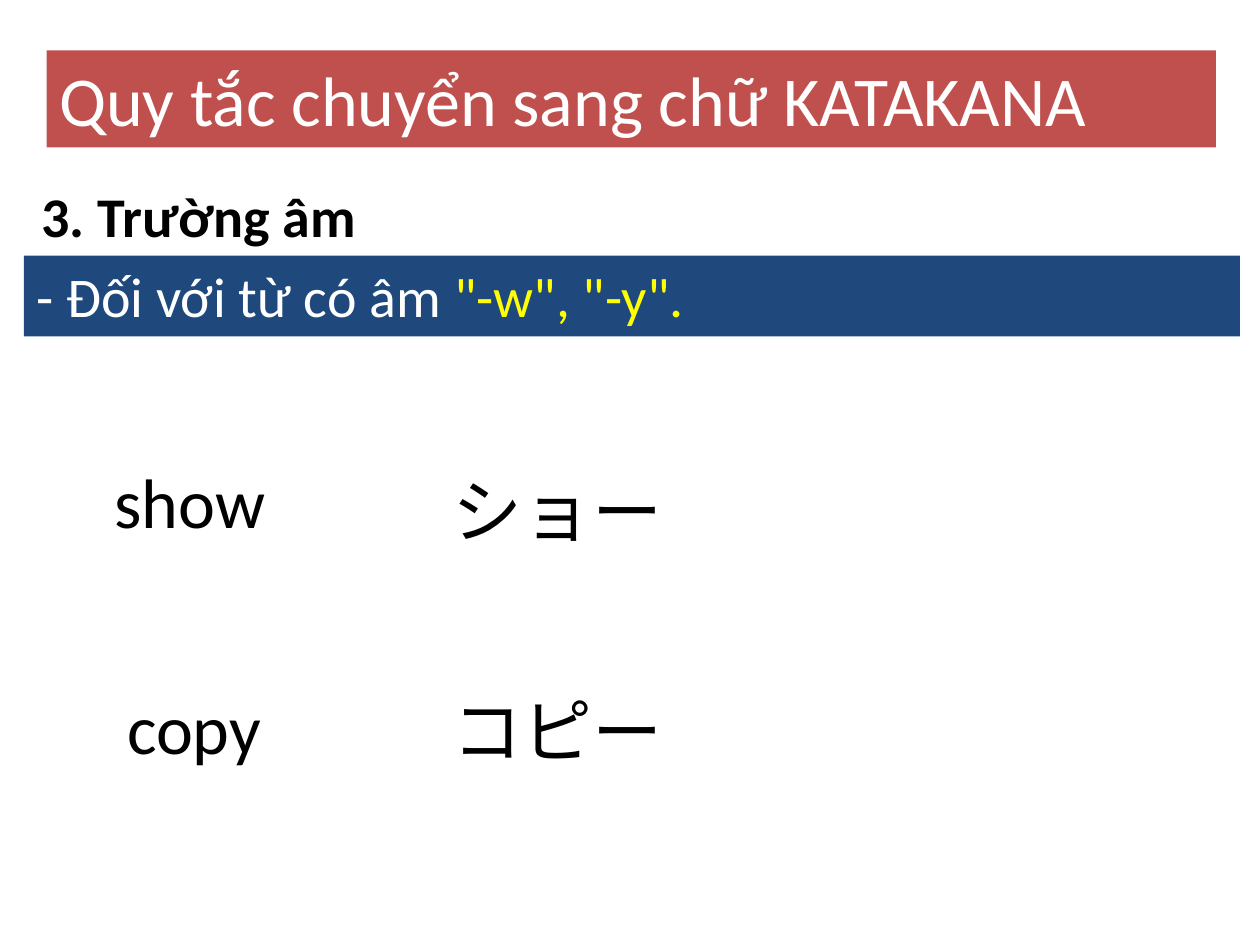
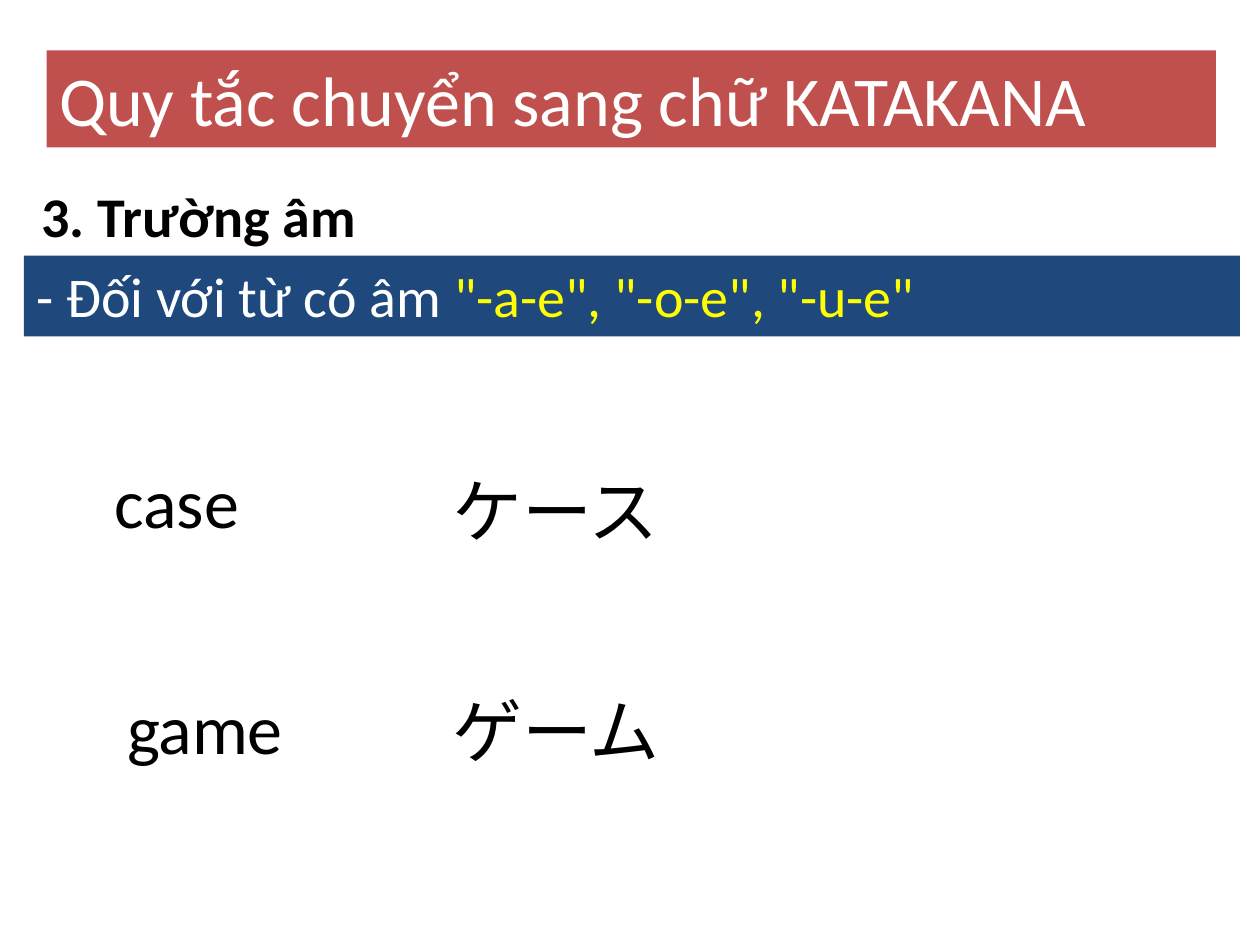
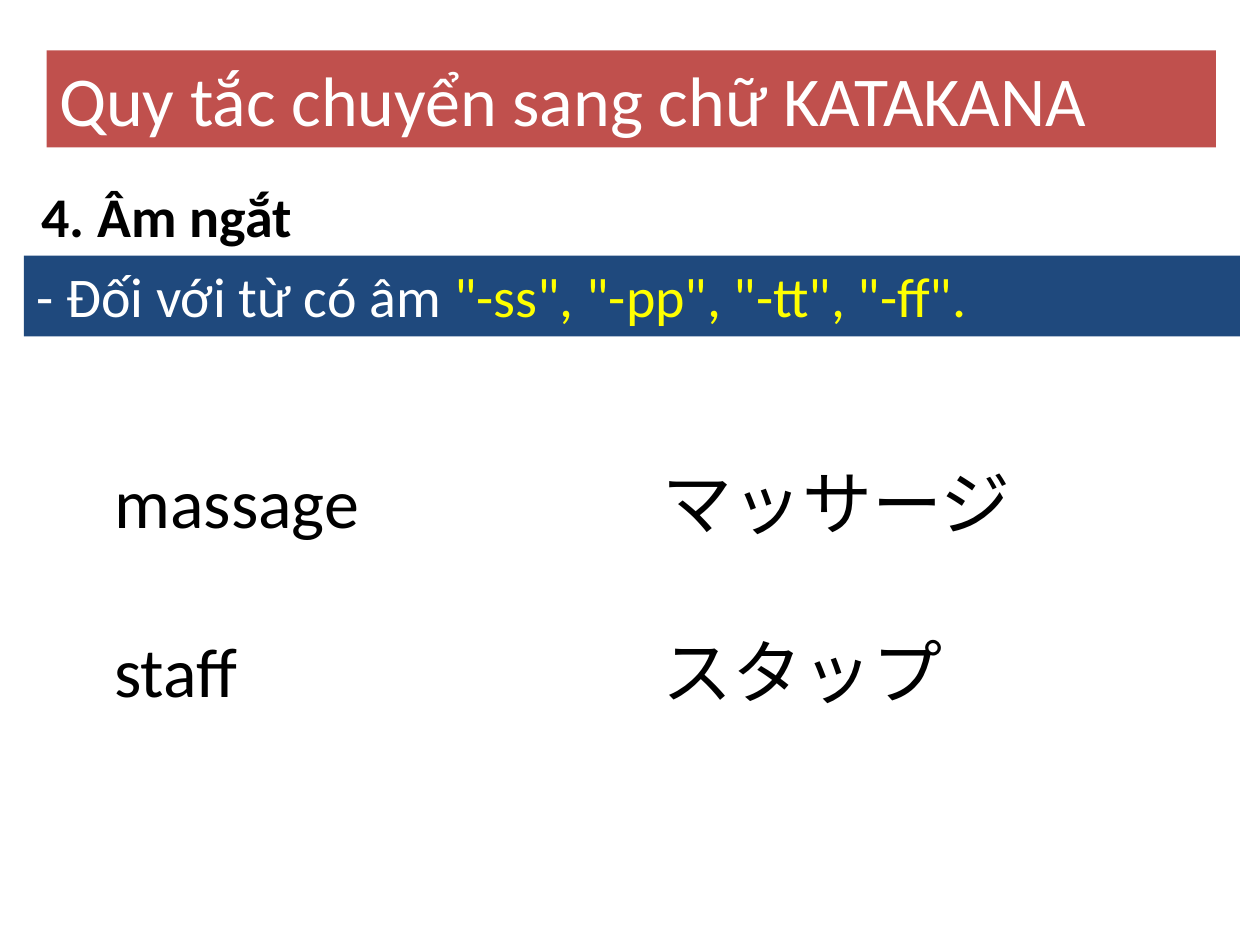
from dataclasses import dataclass

from pptx import Presentation
from pptx.dml.color import RGBColor
from pptx.enum.text import MSO_AUTO_SIZE, MSO_ANCHOR, PP_ALIGN
from pptx.util import Inches, Pt

FIT_SHAPE = MSO_AUTO_SIZE.SHAPE_TO_FIT_TEXT
TOP = MSO_ANCHOR.TOP
LEFT = PP_ALIGN.LEFT

COLUMNS, ROWS = 100, 75
TITLE = "Quy tắc chuyển sang chữ KATAKANA"
RULE_LEAD = "- Đối với từ có âm "


@dataclass(frozen=True)
class Theme:
    font: str = "Calibri"
    paper: str = "FFFFFF"
    ink: str = "000000"
    title_band: str = "C0504D"
    rule_band: str = "1F497D"
    highlight: str = "FFFF00"
    large: int = 40
    medium: int = 32
    large_rows: float = 7.7
    medium_rows: float = 6.4


class Deck:
    def __init__(self, theme):
        self.theme = theme
        self.prs = Presentation()
        self.prs.slide_width = Inches(10)
        self.prs.slide_height = Inches(7.5)
        self.column = self.prs.slide_width / COLUMNS
        self.row = self.prs.slide_height / ROWS
        self.s = None

    def new_slide(self):
        self.s = self.prs.slides.add_slide(self.prs.slide_layouts[6])
        fill = self.s.background.fill
        fill.solid()
        fill.fore_color.rgb = RGBColor.from_string(self.theme.paper)

    def box(self, left, top, width, height, size, fill, parts, bold=False):
        sp = self.s.shapes.add_textbox(
            round(left * self.column), round(top * self.row),
            round(width * self.column), round(height * self.row))
        sp.fill.solid()
        sp.fill.fore_color.rgb = RGBColor.from_string(fill)
        tf = sp.text_frame
        tf.word_wrap = True
        tf.auto_size = FIT_SHAPE
        tf.vertical_anchor = TOP
        p = tf.paragraphs[0]
        p.alignment = LEFT
        for text, color in parts:
            r = p.add_run()
            r.text = text
            r.font.name = self.theme.font
            r.font.size = Pt(size)
            r.font.bold = bold
            r.font.color.rgb = RGBColor.from_string(color)

    def section(self, text):
        t = self.theme
        self.box(2.3, 13.9, 88, t.medium_rows, t.medium, t.paper,
                 [(text, t.ink)], bold=True)

    def title(self, text):
        t = self.theme
        self.box(3.7, 4, 92.8, t.large_rows, t.large, t.title_band,
                 [(text, t.paper)])

    def rule(self, endings):
        t = self.theme
        self.box(1.9, 20.3, 96.5, t.medium_rows, t.medium, t.rule_band,
                 [(RULE_LEAD, t.paper), (endings, t.highlight)])

    def word(self, text, place):
        t = self.theme
        left, top, width = place
        self.box(left, top, width, t.large_rows, t.large, t.paper,
                 [(text, t.ink)])

    def lesson(self, section, endings, words, places):
        self.new_slide()
        self.section(section)
        self.title(TITLE)
        self.rule(endings)
        for text, place in zip(words, places):
            self.word(text, place)


LONG_VOWEL_PLACES = [
    (34.9, 54.1, 37.8),
    (8.1, 35.9, 22.8),
    (9.1, 53.8, 20.9),
    (34.9, 36.6, 22.8),
]
STOP_PLACES = [
    (left, top + drop, width)
    for top in (35.9, 49.3)
    for left, drop, width in ((8.1, 0, 31.7), (51.6, 0.1, 43.3))
]

LESSONS = [
    ("3. Trường âm", '"-w", "-y".',
     ["コピー", "show", "copy", "ショー"], LONG_VOWEL_PLACES),
    ("3. Trường âm", '"-a-e", "-o-e", "-u-e"',
     ["ゲーム", "case", "game", "ケース"], LONG_VOWEL_PLACES),
    ("4. Âm ngắt", '"-ss", "-pp", "-tt", "-ff".',
     ["massage", "マッサージ", "staff", "スタップ"], STOP_PLACES),
]


def main():
    deck = Deck(Theme())
    for lesson in LESSONS:
        deck.lesson(*lesson)
    deck.prs.save("out.pptx")


if __name__ == "__main__":
    main()
